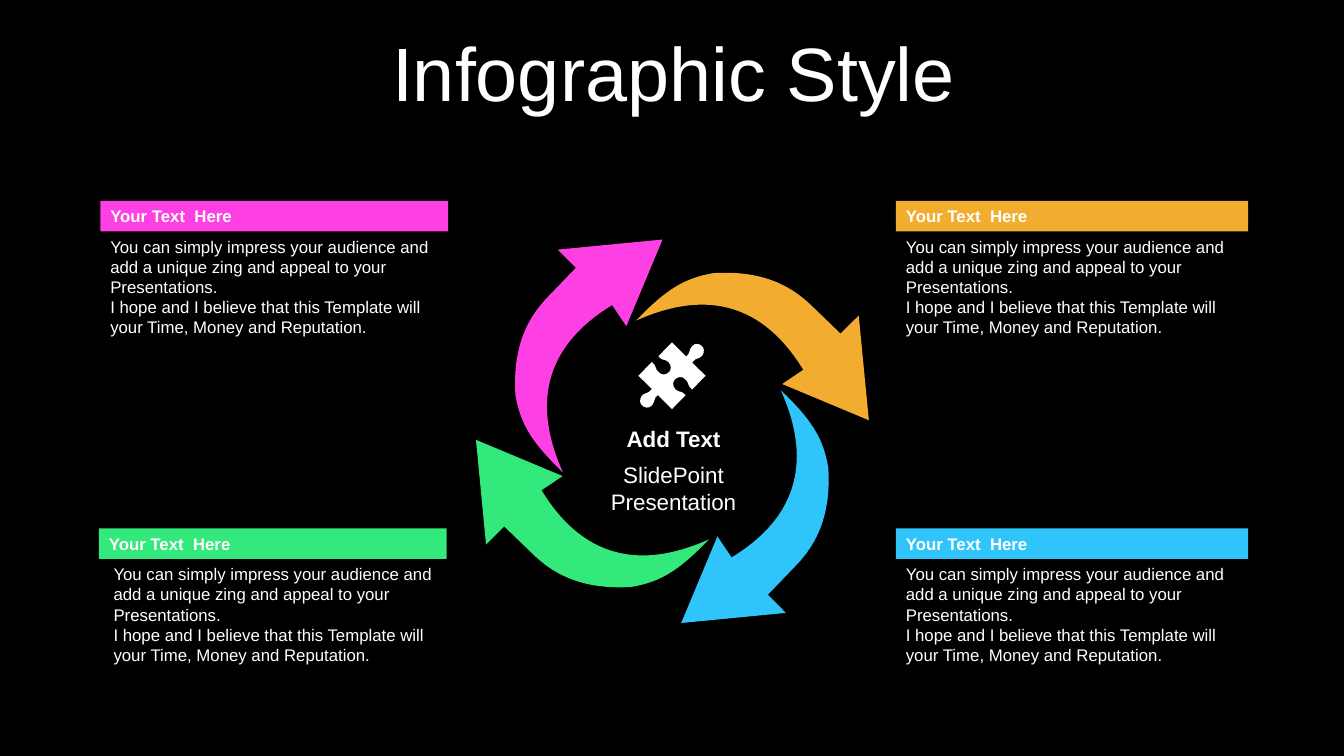
from lxml.etree import SubElement
from pptx import Presentation
from pptx.dml.color import RGBColor
from pptx.enum.shapes import MSO_SHAPE
from pptx.enum.text import MSO_ANCHOR, PP_ALIGN
from pptx.oxml.ns import qn
from pptx.util import Pt

HUES = {
    "black": "000000",
    "white": "FFFFFF",
    "orange": "F2AC30",
    "blue": "2FC5FA",
    "green": "33E97C",
    "pink": "FE3FE4",
}
ARROW = [
    [(133.2, -81.7)],
    [(140.4, -6.9)],
    [(78.5, -32.8)],
    [(93.6, -42.9)],
    [(59.8, -98.3), (14.4, -96.1), (-25.9, -78.1)],
    [(-5, -99.7), (7.9, -108.4), (29.5, -112)],
    [(64.1, -114.1), (85, -103.3), (100.8, -87.5)],
    [(120.2, -68.8)],
]
HALF = [
    [(23, -20.2), (23.4, -16.6), (21.6, -14.4)],
    [(19.4, -11.5), (17, -13.4), (14.4, -9.4)],
    [(24, 0)],
    [(14.4, 9.8)],
    [(10.8, 7.2), (12.2, 4.3), (9.4, 2.5)],
    [(7.2, 0), (4.3, 0.7), (2.2, 2.5)],
    [(0.7, 3.6), (0, 7.2), (2.5, 9.8)],
    [(5.8, 12.5), (6.5, 10.1), (9.7, 14)],
    [(0, 23.8)],
    [(-10.1, 13.7)],
    [(-13.7, 16.6), (-11.5, 18), (-14.4, 21.2)],
    [(-16.6, 23.8), (-20.2, 22.7), (-21.3, 21.2)],
]
PUZZLE = [[(21.3, -21.2)]] + HALF + [[(-x, -y) for x, y in step] for step in HALF]
BODY = [
    "You can simply impress your audience and add a unique zing and appeal to your Presentations.",
    "I hope and I believe that this Template will your Time, Money and Reputation.",
]


def draw(steps, pivot, turns, hue):
    dots = [dot for step in steps for dot in step]
    for _ in range(turns):
        dots = [(-y, x) for x, y in dots]
    spots = [(Pt(pivot[0] + x), Pt(pivot[1] + y)) for x, y in dots]
    pen = slide.shapes.build_freeform(*spots[0])
    pen.add_line_segments(spots[1:], close=True)
    form = pen.convert_to_shape()
    form.shadow.inherit = False
    form.fill.solid()
    form.fill.fore_color.rgb = RGBColor.from_string(HUES[hue])
    form.line.fill.background()
    trace = form.element.find(".//" + qn("a:path"))
    lines = iter(trace.findall(qn("a:lnTo")))
    for step in steps[1:]:
        group = [next(lines) for _ in step]
        if len(group) == 3:
            curve = SubElement(trace, qn("a:cubicBezTo"))
            group[0].addprevious(curve)
            for line in group:
                curve.append(line[0])
                trace.remove(line)


def write(shape, lines, size, bold=False, align=PP_ALIGN.LEFT, anchor=MSO_ANCHOR.TOP):
    frame = shape.text_frame
    frame.word_wrap = True
    frame.vertical_anchor = anchor
    frame.text = "\n".join(lines)
    for para in frame.paragraphs:
        para.alignment = align
        para.font.name = "Arial"
        para.font.size = Pt(size)
        para.font.bold = bold
        para.font.color.rgb = RGBColor.from_string(HUES["white"])


deck = Presentation()
deck.slide_width, deck.slide_height = Pt(960), Pt(540)
slide = deck.slides.add_slide(deck.slide_layouts[5])
slide.background.fill.solid()
slide.background.fill.fore_color.rgb = RGBColor.from_string(HUES["black"])

title = slide.shapes.title
title.left, title.top, title.width, title.height = Pt(25.4), Pt(26.6), Pt(911.5), Pt(56.9)
write(title, ["Infographic Style"], 54, align=PP_ALIGN.CENTER, anchor=MSO_ANCHOR.MIDDLE)
title.text_frame.paragraphs[0].line_spacing = 0.9

wheel = [
    ("orange", (480.2, 307.1)),
    ("blue", (479.7, 304.6)),
    ("green", (480.4, 307.3)),
    ("pink", (480.2, 311.5)),
]
for turns, (hue, pivot) in enumerate(wheel):
    draw(ARROW, pivot, turns, hue)

for line, top, high, bold in [
    ("Add Text", 300.2, 26.6, True),
    ("SlidePoint Presentation", 326, 46, False),
]:
    box = slide.shapes.add_textbox(Pt(422.8), Pt(top), Pt(116.6), Pt(high))
    write(box, [line], 16, bold, PP_ALIGN.CENTER)

for hue, left, inset, top, width in [
    ("orange", 640, 640, 143.5, 251.5),
    ("blue", 640, 640, 377.5, 251.5),
    ("pink", 71.7, 71.7, 143.5, 248.4),
    ("green", 70.7, 74, 377.5, 248.4),
]:
    bar = slide.shapes.add_shape(MSO_SHAPE.RECTANGLE, Pt(left), Pt(top), Pt(width), Pt(21.8))
    bar.shadow.inherit = False
    bar.fill.solid()
    bar.fill.fore_color.rgb = RGBColor.from_string(HUES[hue])
    bar.line.fill.background()
    write(bar, ["Your Text  Here"], 12, True)
    note = slide.shapes.add_textbox(Pt(inset), Pt(top + 21.8), Pt(width), Pt(80))
    write(note, BODY, 12)

draw(PUZZLE, (480, 268.4), 0, "white")
deck.save("out.pptx")
